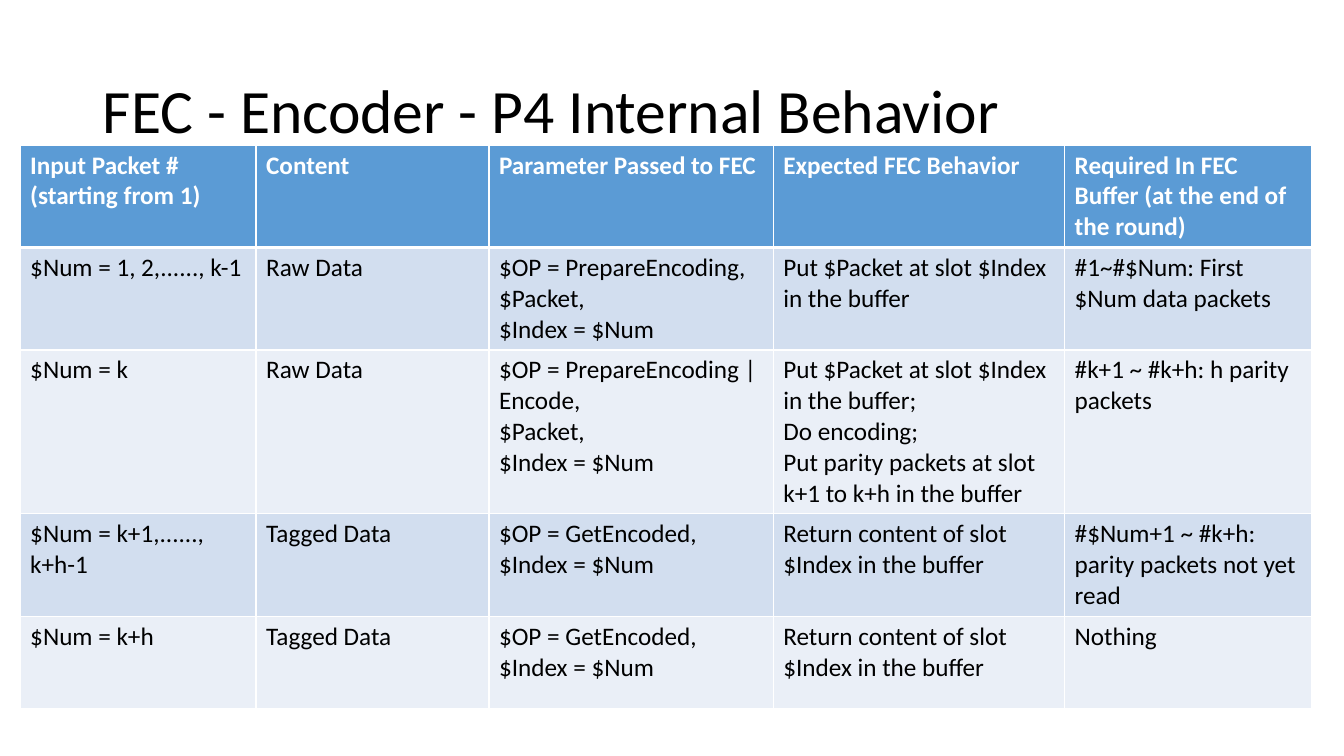
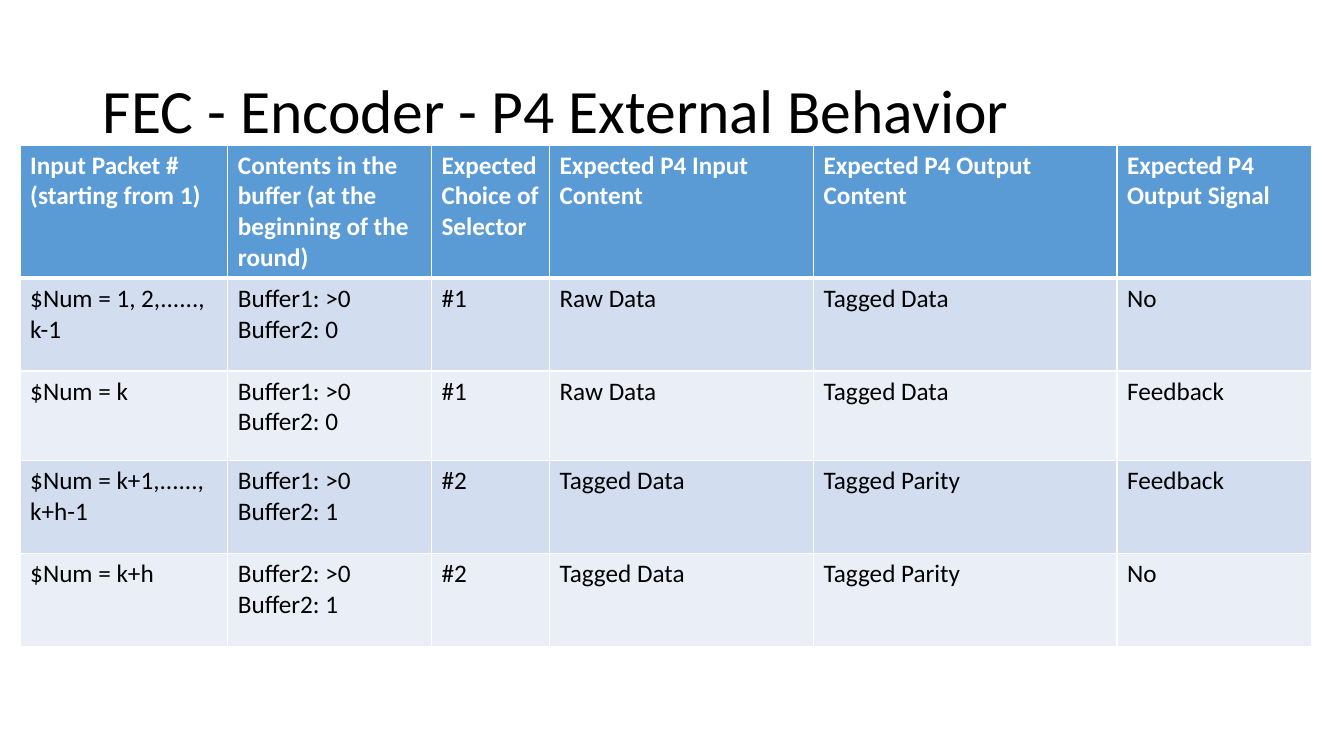
from dataclasses import dataclass

from lxml.etree import SubElement
from pptx import Presentation
from pptx.dml.color import RGBColor
from pptx.enum.text import MSO_ANCHOR as Anchor, MSO_AUTO_SIZE as AutoSize, PP_ALIGN as Align
from pptx.oxml.ns import qn
from pptx.presentation import Presentation as Deck
from pptx.slide import Slide
from pptx.table import _Cell as Cell
from pptx.text.text import _Paragraph as Paragraph
from pptx.util import Inches, Pt

BLACK = RGBColor(0x00, 0x00, 0x00)
WHITE = RGBColor(0xFF, 0xFF, 0xFF)
HEADER_BLUE = RGBColor(0x5B, 0x9B, 0xD5)
BAND_DARK = RGBColor(0xD2, 0xDE, 0xEF)
BAND_LIGHT = RGBColor(0xEA, 0xEF, 0xF7)

TITLE_FONT = {"name": "Calibri", "size": Pt(44), "bold": False}
HEADER_FONT = {"name": "Calibri", "size": Pt(18), "bold": True}
BODY_FONT = HEADER_FONT | {"bold": False}
TITLE_BOX = {
    "left": Inches(0.92), "top": Inches(0.4),
    "width": Inches(11.5), "height": Inches(1.45),
}
TITLE_FRAME = {"auto_size": AutoSize.NONE, "vertical_anchor": Anchor.MIDDLE, "word_wrap": True}
TITLE_PARAGRAPH = {"alignment": Align.LEFT, "line_spacing": 0.9}
TABLE_LEFT, TABLE_TOP = 0.2, 1.44
TITLE_ONLY_LAYOUT = 5
THIN_RULE, THICK_RULE = Pt(1), Pt(3)

PACKET_HEADER = "Input Packet #\n(starting from 1)"
PACKET_STEPS = (
    "$Num = 1, 2,......, k-1", "$Num = k", "$Num = k+1,......, k+h-1", "$Num = k+h",
)
GET_ENCODED = "$OP = GetEncoded,\n$Index = $Num"
RETURN_SLOT = "Return content of slot $Index in the buffer"
PUT_PACKET = "Put $Packet at slot $Index in the buffer"


@dataclass(frozen=True)
class BehaviorPage:
    """Title, grid sizes in inches, column headings and one row of answers per step."""

    title: str
    widths: tuple[float, ...]
    heights: tuple[float, ...]
    headings: tuple[str, ...]
    steps: tuple[tuple[str, ...], ...]

    def rows(self) -> list[tuple[str, ...]]:
        """Return the table text with the shared packet column in front."""
        body = [(packet, *step) for packet, step in zip(PACKET_STEPS, self.steps)]
        return [(PACKET_HEADER, *self.headings), *body]


PAGES = (
    BehaviorPage(
        "FEC - Encoder - P4 Internal Behavior",
        (2.34, 2.31, 2.82, 2.89, 2.45),
        (0.92,) * 5,
        ("Content", "Parameter Passed to FEC", "Expected FEC Behavior",
         "Required In FEC Buffer (at the end of the round)"),
        (
            ("Raw Data", "$OP = PrepareEncoding, $Packet,\n$Index = $Num",
             PUT_PACKET, "#1~#$Num: First $Num data packets"),
            ("Raw Data", "$OP = PrepareEncoding | Encode,\n$Packet,\n$Index = $Num",
             f"{PUT_PACKET};\nDo encoding;\n"
             "Put parity packets at slot k+1 to k+h in the buffer",
             "#k+1 ~ #k+h: h parity packets"),
            ("Tagged Data", GET_ENCODED, RETURN_SLOT,
             "#$Num+1 ~ #k+h: parity packets not yet read"),
            ("Tagged Data", GET_ENCODED, RETURN_SLOT, "Nothing"),
        ),
    ),
    BehaviorPage(
        "FEC - Encoder - P4 External Behavior",
        (2.06, 2.02, 1.17, 2.62, 3.01, 1.93),
        (0.92, 0.92, 0.89, 0.92, 0.92),
        ("Contents in the buffer (at the beginning of the round)",
         "Expected Choice of Selector", "Expected P4 Input Content",
         "Expected P4 Output Content", "Expected P4 Output Signal"),
        (
            ("Buffer1: >0\nBuffer2: 0", "#1", "Raw Data", "Tagged Data", "No"),
            ("Buffer1: >0\nBuffer2: 0", "#1", "Raw Data", "Tagged Data", "Feedback"),
            ("Buffer1: >0\nBuffer2: 1", "#2", "Tagged Data", "Tagged Parity", "Feedback"),
            ("Buffer2: >0\nBuffer2: 1", "#2", "Tagged Data", "Tagged Parity", "No"),
        ),
    ),
)


def apply_format(target: object, values: dict[str, object]) -> None:
    """Set every named attribute on the target."""
    for name, value in values.items():
        setattr(target, name, value)


def style_text(para: Paragraph, font: dict[str, object], color: RGBColor) -> None:
    """Format all spans of a paragraph."""
    for span in para.runs:
        apply_format(span.font, font)
        span.font.color.rgb = color


def add_title(page: Slide, text: str) -> None:
    """Fill and place the title placeholder."""
    box = page.shapes.title
    apply_format(box, TITLE_BOX)
    apply_format(box.text_frame, TITLE_FRAME)
    box.text_frame.text = text
    para = box.text_frame.paragraphs[0]
    apply_format(para, TITLE_PARAGRAPH)
    style_text(para, TITLE_FONT, BLACK)


def set_borders(cell: Cell, top: int, bottom: int) -> None:
    """Draw white cell borders with the given horizontal rule widths."""
    properties = cell._tc.get_or_add_tcPr()
    widths = {"a:lnL": THIN_RULE, "a:lnR": THIN_RULE, "a:lnT": top, "a:lnB": bottom}
    for tag, width in widths.items():
        line = SubElement(properties, qn(tag), w=str(int(width)))
        fill = SubElement(line, qn("a:solidFill"))
        SubElement(fill, qn("a:srgbClr"), val=str(WHITE))


def fill_cell(cell: Cell, text: str, row: int) -> None:
    """Write one cell and style it by its row number."""
    header = row == 0
    set_borders(
        cell,
        top=THICK_RULE if row == 1 else THIN_RULE,
        bottom=THICK_RULE if header else THIN_RULE,
    )
    cell.fill.solid()
    band = BAND_DARK if row % 2 else BAND_LIGHT
    cell.fill.fore_color.rgb = HEADER_BLUE if header else band
    cell.text = text
    for para in cell.text_frame.paragraphs:
        style_text(para, HEADER_FONT if header else BODY_FONT, WHITE if header else BLACK)


def add_behavior_table(page: Slide, content: BehaviorPage) -> None:
    """Add the banded behavior table."""
    table = page.shapes.add_table(
        len(content.heights), len(content.widths), Inches(TABLE_LEFT), Inches(TABLE_TOP),
        Inches(sum(content.widths)), Inches(sum(content.heights)),
    ).table
    for column, width in zip(table.columns, content.widths):
        column.width = Inches(width)
    for row, height in zip(table.rows, content.heights):
        row.height = Inches(height)
    for row_number, texts in enumerate(content.rows()):
        for column_number, text in enumerate(texts):
            fill_cell(table.cell(row_number, column_number), text, row_number)


def add_page(deck: Deck, content: BehaviorPage) -> None:
    """Add one slide with its title and table."""
    page = deck.slides.add_slide(deck.slide_layouts[TITLE_ONLY_LAYOUT])
    add_title(page, content.title)
    add_behavior_table(page, content)


def main() -> None:
    """Build and save the deck."""
    deck = Presentation()
    apply_format(deck, {"slide_width": Inches(13.33), "slide_height": Inches(7.5)})
    for content in PAGES:
        add_page(deck, content)
    deck.save("out.pptx")


if __name__ == "__main__":
    main()
